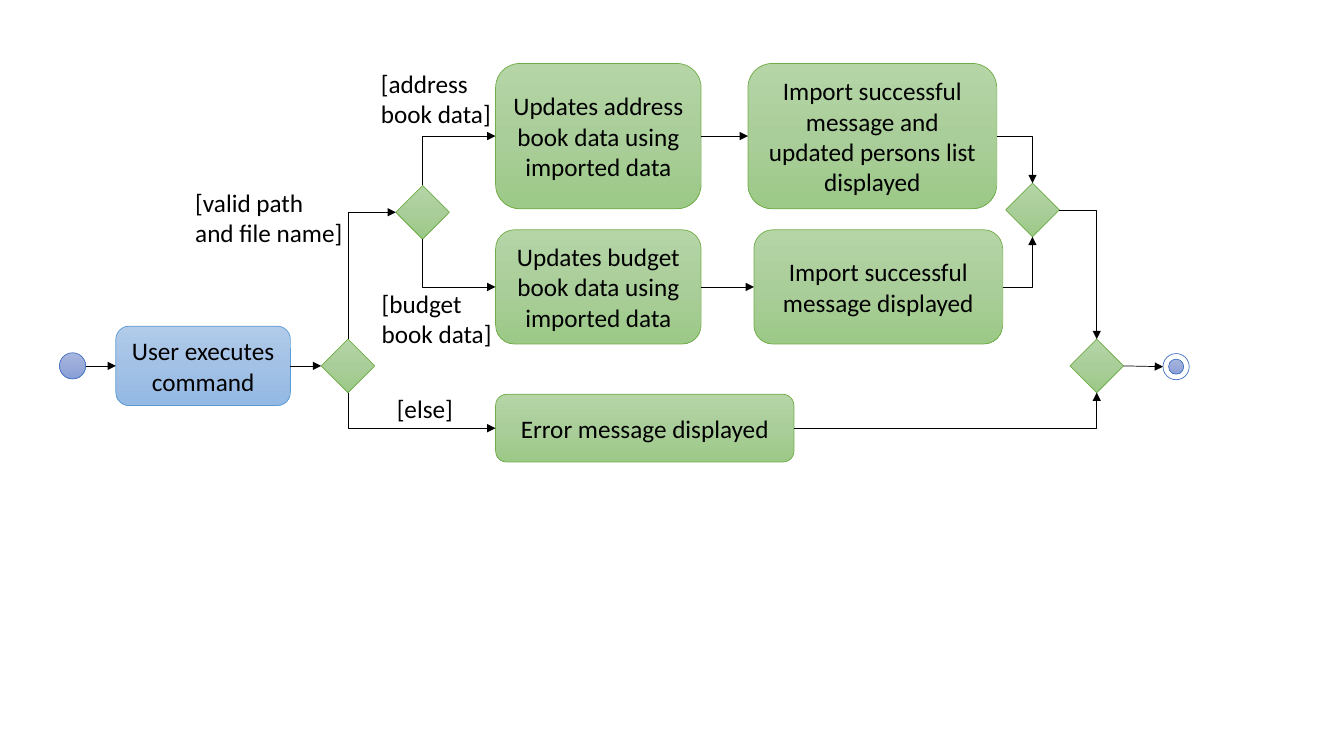
from copy import deepcopy

from pptx import Presentation
from pptx import util as u
from pptx.dml.color import RGBColor
from pptx.enum import shapes, text
from pptx.oxml.ns import qn
from pptx.oxml.xmlchemy import OxmlElement

BLACK = RGBColor(0x00, 0x00, 0x00)
WHITE = RGBColor(0xFF, 0xFF, 0xFF)
GREEN_LINE = RGBColor(0x70, 0xAD, 0x47)
GREEN_FILL = (RGBColor(0xB5, 0xD5, 0xA7), RGBColor(0xAA, 0xCE, 0x9A),
              RGBColor(0x9C, 0xC9, 0x87))
BLUE_LINE = RGBColor(0x5B, 0x9B, 0xD5)
BLUE_FILL = (RGBColor(0xB1, 0xCB, 0xE9), RGBColor(0xA3, 0xC1, 0xE5),
             RGBColor(0x93, 0xB9, 0xE4))
INDIGO_LINE = RGBColor(0x44, 0x72, 0xC4)
INDIGO_FILL = (RGBColor(0xA8, 0xB7, 0xDF), RGBColor(0x9A, 0xAB, 0xD9),
               RGBColor(0x88, 0x9E, 0xD7))

FONT = "Calibri"
TEXT_SIZE = u.Pt(18)
LINE_WIDTH = u.Pt(0.5)
DIAMOND_SIZE = 1.35
MAIN_ROW = 9.22
SITES = {"top": 0, "left": 1, "bottom": 2, "right": 3}
SHAPE = shapes.MSO_SHAPE


def fill_gradient(shape, colors):
    """Fill from top to bottom with three evenly spaced colours."""
    shape.fill.gradient()
    shape.fill.gradient_angle = 270
    stop_list = shape._element.spPr.find(qn("a:gradFill")).find(qn("a:gsLst"))
    stop_list.insert(1, deepcopy(stop_list[0]))
    for index, (stop, color) in enumerate(zip(shape.fill.gradient_stops, colors)):
        stop.position = index / 2
        stop.color.rgb = color


def add_node(parent, kind, center, size, line_color, colors=None):
    """Add a flowchart shape around its centre; without colours it is white."""
    (x, y), (width, height) = center, size
    shape = parent.shapes.add_shape(kind, u.Cm(x - width / 2), u.Cm(y - height / 2),
                                    u.Cm(width), u.Cm(height))
    shape.shadow.inherit = False
    shape.line.color.rgb = line_color
    shape.line.width = LINE_WIDTH
    if colors:
        fill_gradient(shape, colors)
    else:
        shape.fill.solid()
        shape.fill.fore_color.rgb = WHITE
    return shape


def set_text(shape, words, alignment):
    shape.text_frame.word_wrap = True
    paragraph = shape.text_frame.paragraphs[0]
    paragraph.text = words
    paragraph.alignment = alignment
    paragraph.font.name = FONT
    paragraph.font.size = TEXT_SIZE
    paragraph.font.color.rgb = BLACK


def add_action(slide, words, left, middle, width, height,
               line_color=GREEN_LINE, colors=GREEN_FILL):
    box = add_node(slide, SHAPE.ROUNDED_RECTANGLE, (left + width / 2, middle),
                   (width, height), line_color, colors)
    box.text_frame.vertical_anchor = text.MSO_ANCHOR.MIDDLE
    set_text(box, words, text.PP_ALIGN.CENTER)
    return box


def add_diamond(slide, x, y):
    return add_node(slide, SHAPE.DIAMOND, (x, y), (DIAMOND_SIZE, DIAMOND_SIZE),
                    GREEN_LINE, GREEN_FILL)


def add_circle(parent, x, y, diameter, colors=None):
    return add_node(parent, SHAPE.OVAL, (x, y), (diameter, diameter),
                    INDIGO_LINE, colors)


def add_label(slide, words, left, top, width, height):
    label = slide.shapes.add_textbox(u.Cm(left), u.Cm(top), u.Cm(width), u.Cm(height))
    label.text_frame.auto_size = text.MSO_AUTO_SIZE.SHAPE_TO_FIT_TEXT
    set_text(label, words, text.PP_ALIGN.LEFT)


def side_point(shape, side):
    x = {"left": 0, "right": shape.width}.get(side, shape.width // 2)
    y = {"top": 0, "bottom": shape.height}.get(side, shape.height // 2)
    return shape.left + x, shape.top + y


def bend_once(connector, leaves_sideways):
    """Turn an elbow connector into one with a single corner."""
    connector._element.spPr.find(qn("a:prstGeom")).set("prst", "bentConnector2")
    if leaves_sideways:
        return
    goes_up = connector.end_y < connector.begin_y
    width, height = connector.width, connector.height
    connector.left += (width - height) // 2
    connector.top += (height - width) // 2
    connector.width, connector.height = height, width
    transform = connector._element.spPr.find(qn("a:xfrm"))
    transform.set("rot", str((90 if goes_up else 270) * 60000))
    transform.set("flipH", "1")
    transform.set("flipV", "1" if goes_up else "0")


def add_arrow(slide, source, source_side, target, target_side):
    straight = (source_side, target_side) == ("right", "left")
    kind = shapes.MSO_CONNECTOR.STRAIGHT if straight else shapes.MSO_CONNECTOR.ELBOW
    connector = slide.shapes.add_connector(
        kind, *side_point(source, source_side), *side_point(target, target_side))
    # Circles number their connection sites differently, so they stay unglued.
    if source.auto_shape_type != SHAPE.OVAL:
        connector.begin_connect(source, SITES[source_side])
    if target.auto_shape_type != SHAPE.OVAL:
        connector.end_connect(target, SITES[target_side])
    if not straight:
        bend_once(connector, source_side == "right")
    connector.line.color.rgb = BLACK
    connector.line.width = LINE_WIDTH
    head = OxmlElement("a:tailEnd")
    head.set("type", "triangle")
    connector.line._get_or_add_ln().append(head)
    connector._element.spPr.append(OxmlElement("a:effectLst"))


def main():
    presentation = Presentation()
    presentation.slide_width, presentation.slide_height = u.Cm(33.87), u.Cm(19.05)
    slide = presentation.slides.add_slide(presentation.slide_layouts[6])

    start = add_circle(slide, 1.83, MAIN_ROW, 0.66, INDIGO_FILL)
    command = add_action(slide, "User executes command", 2.92, MAIN_ROW, 4.4, 2,
                         BLUE_LINE, BLUE_FILL)
    path_check = add_diamond(slide, 8.77, MAIN_ROW)
    data_check = add_diamond(slide, 10.65, 5.35)
    address = add_action(slide, "Updates address book data using imported data",
                         12.49, 3.43, 5.18, 3.66)
    budget = add_action(slide, "Updates budget book data using imported data",
                        12.49, 7.23, 5.18, 2.88)
    error = add_action(slide, "Error message displayed", 12.49, 10.79, 7.52, 1.71)
    persons_shown = add_action(
        slide, "Import successful message and updated persons list displayed",
        18.85, 3.43, 6.27, 3.66)
    success_shown = add_action(slide, "Import successful message displayed",
                               19, 7.23, 6.27, 2.88)
    data_merge = add_diamond(slide, 26.02, 5.29)
    final_merge = add_diamond(slide, 27.64, MAIN_ROW)
    end_symbol = slide.shapes.add_group_shape()
    end = add_circle(end_symbol, 29.64, 9.24, 0.66)
    add_circle(end_symbol, 29.64, 9.24, 0.38, INDIGO_FILL)

    for words, left, top, width, height in (
            ("[else]", 9.75, 9.78, 2.36, 1.02),
            ("[valid path and file name]", 4.67, 4.6, 4.32, 1.8),
            ("[address book data]", 9.35, 1.6, 3.86, 1.8),
            ("[budget book data]", 9.37, 7.14, 3.86, 1.8)):
        add_label(slide, words, left, top, width, height)

    for source, source_side, target, target_side in (
            (start, "right", command, "left"),
            (command, "right", path_check, "left"),
            (path_check, "top", data_check, "left"),
            (path_check, "bottom", error, "left"),
            (data_check, "top", address, "left"),
            (data_check, "bottom", budget, "left"),
            (address, "right", persons_shown, "left"),
            (budget, "right", success_shown, "left"),
            (persons_shown, "right", data_merge, "top"),
            (success_shown, "right", data_merge, "bottom"),
            (data_merge, "right", final_merge, "top"),
            (error, "right", final_merge, "bottom"),
            (final_merge, "right", end, "left")):
        add_arrow(slide, source, source_side, target, target_side)

    presentation.save("out.pptx")


if __name__ == "__main__":
    main()
